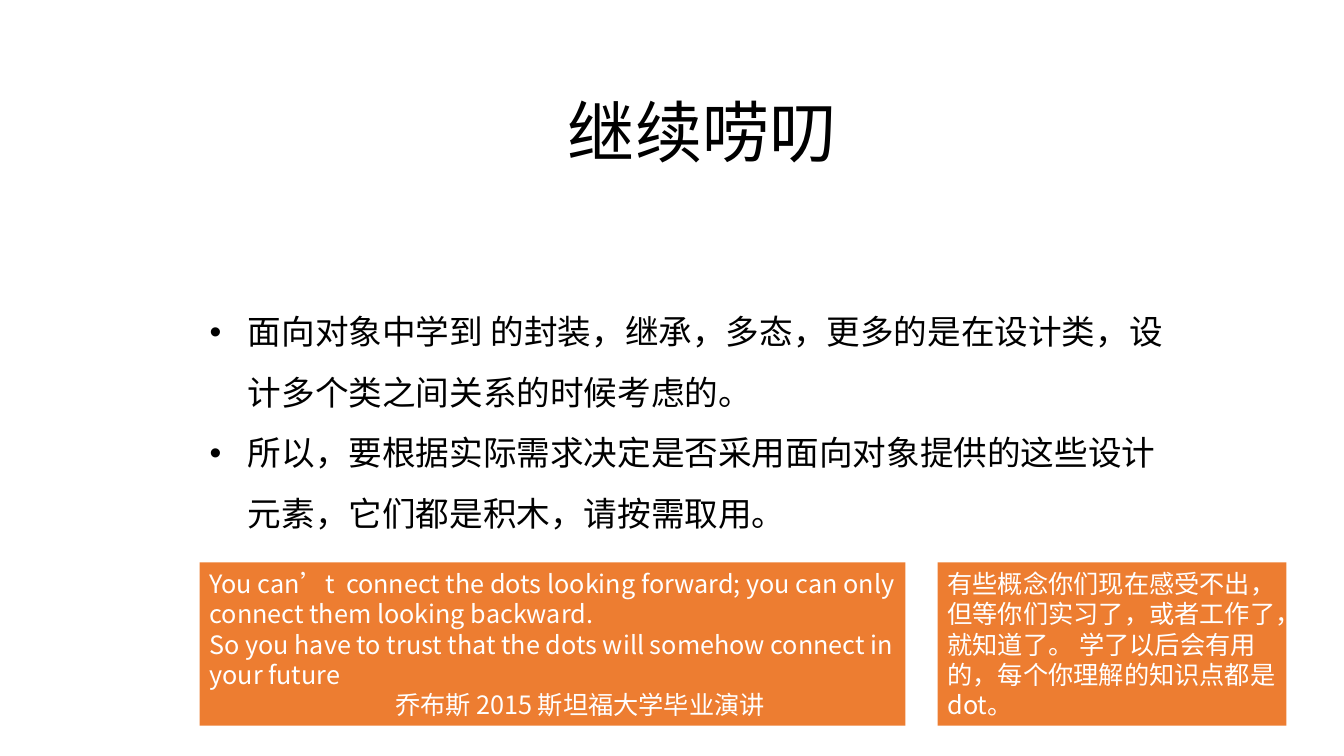
from dataclasses import dataclass

from lxml import etree
from pptx import Presentation
from pptx.dml.color import RGBColor
from pptx.enum.lang import MSO_LANGUAGE_ID
from pptx.enum.shapes import MSO_SHAPE
from pptx.enum.text import MSO_ANCHOR, MSO_AUTO_SIZE, PP_ALIGN
from pptx.oxml.ns import qn
from pptx.util import Inches, Pt

RECTANGLE = MSO_SHAPE.RECTANGLE
LEFT, CENTER = PP_ALIGN.LEFT, PP_ALIGN.CENTER
TOP, MIDDLE = MSO_ANCHOR.TOP, MSO_ANCHOR.MIDDLE
GROW = MSO_AUTO_SIZE.SHAPE_TO_FIT_TEXT
CHINESE = MSO_LANGUAGE_ID.SIMPLIFIED_CHINESE


@dataclass(frozen=True)
class Theme:
    font: str = "Noto Sans CJK SC"
    ink: RGBColor = RGBColor(0x00, 0x00, 0x00)
    accent: RGBColor = RGBColor(0xED, 0x7D, 0x31)
    on_accent: RGBColor = RGBColor(0xFF, 0xFF, 0xFF)
    title_size: int = 48
    body_size: int = 24
    note_size: int = 18


class SlideBuilder:
    def __init__(self, slide, theme):
        self.slide = slide
        self.theme = theme

    def set_text(self, s, paragraphs, size, color, align=LEFT, anchor=TOP):
        """Fill a shape with paragraphs in the theme font."""
        tf = s.text_frame
        frame_format = {"word_wrap": True, "auto_size": GROW,
                        "vertical_anchor": anchor}
        for name, value in frame_format.items():
            setattr(tf, name, value)
        tf.text = "\n".join(paragraphs)
        run_format = {"name": self.theme.font, "size": Pt(size),
                      "language_id": CHINESE}
        for p in tf.paragraphs:
            p.alignment = align
            for r in p.runs:
                for name, value in run_format.items():
                    setattr(r.font, name, value)
                r.font.color.rgb = color
                # East Asian typeface
                latin = r._r.rPr.find(qn("a:latin"))
                ea = etree.Element(qn("a:ea"), typeface=self.theme.font)
                latin.addnext(ea)
        return tf

    def indent(self, p, margin, first=0):
        p_pr = p._p.get_or_add_pPr()
        p_pr.set("marL", str(Inches(margin)))
        p_pr.set("indent", str(Inches(first)))
        return p_pr

    def text_box(self, box, paragraphs, size, align=LEFT):
        s = self.slide.shapes.add_textbox(*map(Inches, box))
        return self.set_text(s, paragraphs, size, self.theme.ink, align)

    def title(self, box, text):
        self.text_box(box, [text], self.theme.title_size, CENTER)

    def bullets(self, box, items):
        tf = self.text_box(box, items, self.theme.body_size)
        for p in tf.paragraphs:
            p.line_spacing = 1.5
            p_pr = self.indent(p, 0.38, -0.38)
            etree.SubElement(p_pr, qn("a:buFont"), typeface="Arial")
            etree.SubElement(p_pr, qn("a:buChar"), char="•")

    def note(self, box, paragraphs):
        s = self.slide.shapes.add_shape(RECTANGLE, *map(Inches, box))
        s.shadow.inherit = False
        s.fill.solid()
        s.fill.fore_color.rgb = self.theme.accent
        s.line.fill.background()
        return self.set_text(s, paragraphs, self.theme.note_size,
                             self.theme.on_accent, anchor=MIDDLE)


def main():
    prs = Presentation()
    prs.slide_width, prs.slide_height = Inches(13.33), Inches(7.5)
    builder = SlideBuilder(prs.slides.add_slide(prs.slide_layouts[6]), Theme())

    # Title and main points
    builder.title((1.82, 0.85, 10.44, 0.91), "继续唠叨 ")
    builder.bullets((1.98, 2.84, 9.76, 2.46), [
        "面向对象中学到 的封装，继承，多态，更多的是在设计类，设计多个类之间关系的时候考虑的。",
        "所以，要根据实际需求决定是否采用面向对象提供的这些设计元素，它们都是积木，请按需取用。",
    ])

    # Advice and quotation share one row
    note_top, note_height = 5.58, 1.62
    builder.note((9.3, note_top, 3.46, note_height), [
        "有些概念你们现在感受不出，但等你们实习了，或者工作了，就知道了。 "
        "学了以后会有用的，每个你理解的知识点都是dot。",
    ])
    quote = builder.note((1.98, note_top, 7, note_height), [
        "You can’t  connect the dots looking forward; you can only "
        "connect them looking backward.\v"
        "So you have to trust that the dots will somehow connect in your future",
        "乔布斯 2015 斯坦福大学毕业演讲",
    ])
    builder.indent(quote.paragraphs[-1], 1.84)

    prs.save("out.pptx")


if __name__ == "__main__":
    main()
